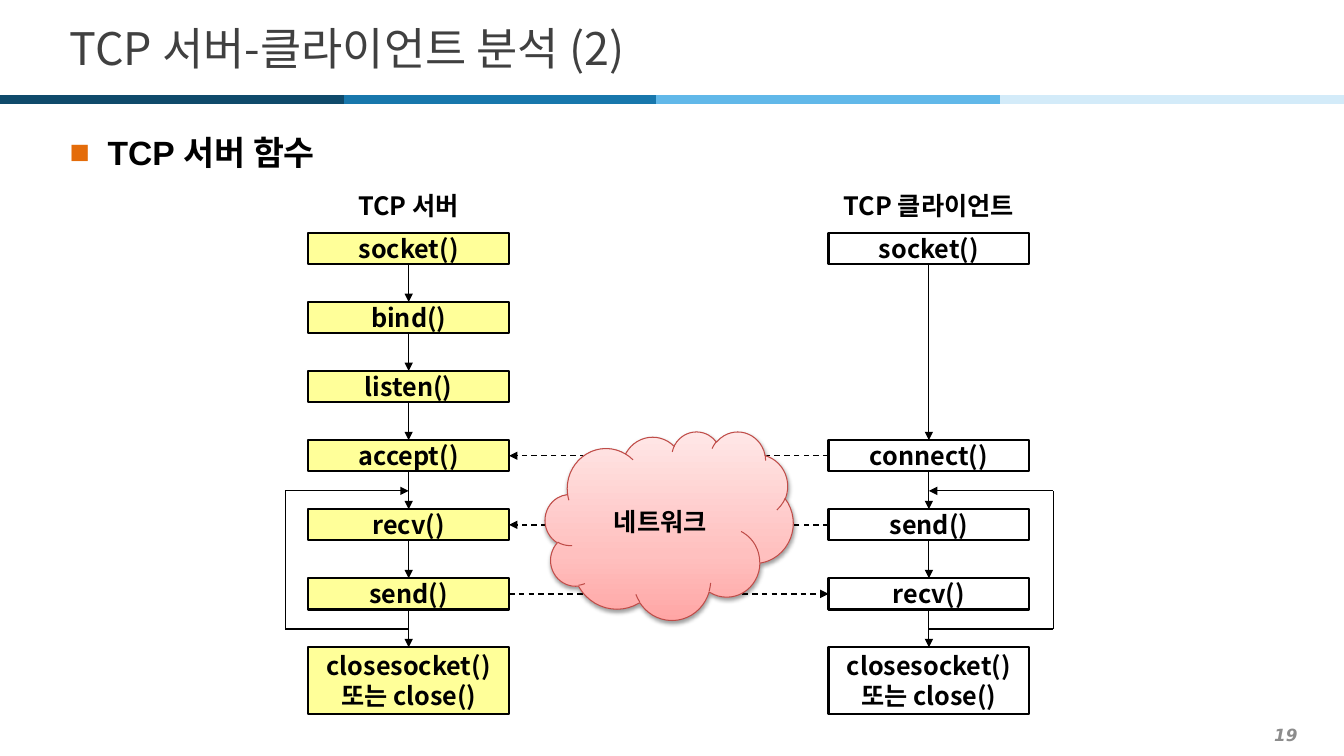
import copy

import lxml.etree
import pptx
import pptx.dml.color
import pptx.enum.dml
import pptx.enum.shapes
import pptx.enum.text
import pptx.oxml.ns
import pptx.util

Cm, Pt, qn = pptx.util.Cm, pptx.util.Pt, pptx.oxml.ns.qn
MSO_SHAPE = pptx.enum.shapes.MSO_SHAPE
ALIGN, ANCHOR = pptx.enum.text.PP_ALIGN, pptx.enum.text.MSO_ANCHOR
SubElement = lxml.etree.SubElement
KOREAN = "Noto Sans CJK KR"


def color(value):
    return pptx.dml.color.RGBColor.from_string(value)


def write(sp, text, size=18, font=KOREAN, rgb="000000", bold=True, italic=False,
          align=ALIGN.CENTER, anchor=ANCHOR.MIDDLE, wrap=False):
    tf = sp.text_frame
    tf.auto_size = pptx.enum.text.MSO_AUTO_SIZE.NONE
    tf.word_wrap = wrap
    tf.vertical_anchor = anchor
    for i, line in enumerate(text.split("\n")):
        p = tf.paragraphs[0] if i == 0 else tf.add_paragraph()
        p.alignment = align
        r = p.add_run()
        r.text = line
        r.font.size, r.font.name = Pt(size), font
        r.font.bold, r.font.italic = bold, italic
        r.font.color.rgb = color(rgb)
        SubElement(r.font._element, qn("a:ea"), typeface=KOREAN)


prs = pptx.Presentation()
prs.slide_width, prs.slide_height = Cm(33.87), Cm(19.05)
s = prs.slides.add_slide(prs.slide_layouts[1])

# Title
title = s.shapes.title
title.left, title.top, title.width, title.height = Cm(1.5), Cm(0.33), Cm(31), Cm(1.73)
write(title, "TCP 서버-클라이언트 분석 (2)", size=32, rgb="404040", bold=False,
      align=ALIGN.LEFT, wrap=True)

# Bullet heading
body = s.placeholders[1]
body.left, body.top, body.width, body.height = Cm(1.5), Cm(3), Cm(31.14), Cm(15.3)
p = body.text_frame.paragraphs[0]
p.line_spacing, p.space_before, p.space_after = 1.2, Pt(0), Pt(2)
pPr = p._p.get_or_add_pPr()
pPr.set("marL", str(Cm(0.96)))
pPr.set("indent", str(-Cm(0.96)))
SubElement(SubElement(pPr, qn("a:buClr")), qn("a:srgbClr"), val="E46C0A")
SubElement(pPr, qn("a:buChar"), char="■")
write(body, "TCP 서버 함수", size=24, font="Arial", align=ALIGN.LEFT,
      anchor=ANCHOR.TOP, wrap=True)

# Page number
number = s.shapes.add_textbox(Cm(0.5), Cm(18.13), Cm(32.45), Cm(0.79))
write(number, "19", size=12, font="DejaVu Sans", rgb="8C8C8C", italic=True,
      align=ALIGN.RIGHT, wrap=True)


def connect(x1, y1, x2, y2, rgb="000000", width=0.75, arrow=False, dash=False):
    c = s.shapes.add_connector(pptx.enum.shapes.MSO_CONNECTOR.STRAIGHT,
                               Cm(x1), Cm(y1), Cm(x2), Cm(y2))
    c.line.color.rgb, c.line.width = color(rgb), Pt(width)
    if dash:
        c.line.dash_style = pptx.enum.dml.MSO_LINE.DASH
    if arrow:
        SubElement(c.line._get_or_add_ln(), qn("a:tailEnd"), type="triangle")
    SubElement(c._element.spPr, qn("a:effectLst"))
    return c


# Header rule
edges = [0, 8.66, 16.54, 25.2, 33.87]
for x1, x2, rgb in zip(edges, edges[1:], ["0F4A6B", "1877AC", "61B8E9", "D3EBF9"]):
    connect(x1, 2.51, x2, 2.51, rgb=rgb, width=6)

# Server and client flows: heading, left edge, fill, loop edge, calls by row
TOP, PITCH, BOX_W, BOX_H = 5.87, 1.74, 5.06, 0.79
CLOSE = "closesocket()\n또는 close()"
flows = [
    ("TCP 서버", 7.77, "FFFF99", 7.19,
     {0: "socket()", 1: "bind()", 2: "listen()", 3: "accept()",
      4: "recv()", 5: "send()", 6: CLOSE}),
    ("TCP 클라이언트", 20.88, None, 26.54,
     {0: "socket()", 3: "connect()", 4: "send()", 5: "recv()", 6: CLOSE}),
]
columns = []
for heading, left, fill, loop_x, calls in flows:
    label = s.shapes.add_textbox(Cm(left), Cm(4.78), Cm(BOX_W), Cm(BOX_H))
    write(label, heading)

    boxes = {}
    for row, call in calls.items():
        sp = s.shapes.add_shape(MSO_SHAPE.RECTANGLE, Cm(left), Cm(TOP + PITCH * row),
                                Cm(BOX_W), Cm(1.68 if call == CLOSE else BOX_H))
        sp.shadow.inherit = False
        if fill:
            sp.fill.solid()
            sp.fill.fore_color.rgb = color(fill)
        else:
            sp.fill.background()
        sp.line.color.rgb, sp.line.width = color("000000"), Pt(1.5)
        write(sp, call)
        boxes[row] = sp
    columns.append(boxes)

    rows = list(boxes)
    for above, below in zip(rows, rows[1:]):
        c = connect(0, 0, 1, 1, arrow=True)
        c.begin_connect(boxes[above], 2)
        c.end_connect(boxes[below], 0)

    # Loop from below the sixth call back to above the fifth
    center = left + BOX_W / 2
    loop_top, loop_bottom = 12.37, 15.85
    connect(center, loop_bottom, loop_x, loop_bottom)
    connect(loop_x, loop_bottom, loop_x, loop_top)
    connect(loop_x, loop_top, center, loop_top, arrow=True)

# Messages across the network
server, client = columns
for start, start_side, end, end_side in [(client[3], 1, server[3], 3),
                                         (client[4], 1, server[4], 3),
                                         (server[5], 3, client[5], 1)]:
    c = connect(0, 0, 1, 1, width=1, arrow=True, dash=True)
    c.begin_connect(start, start_side)
    c.end_connect(end, end_side)

# Network cloud
cloud = s.shapes.add_shape(MSO_SHAPE.CLOUD, Cm(13.74), Cm(10.87), Cm(6.25), Cm(4.75))
cloud.fill.gradient()
cloud.fill.gradient_angle = 90
stops = cloud._element.spPr.find(".//" + qn("a:gsLst"))
stops.append(copy.deepcopy(stops[0]))
for stop, position, rgb in zip(cloud.fill.gradient_stops, [0, 0.35, 1],
                               ["FFA6A5", "FFC0BF", "FFE7E7"]):
    stop.position, stop.color.rgb = position, color(rgb)
cloud.line.color.rgb, cloud.line.width = color("BF4C48"), Pt(0.75)
cloud.shadow.inherit = False
shadow = SubElement(cloud._element.spPr.find(qn("a:effectLst")), qn("a:outerShdw"),
                    blurRad=str(Pt(3.1)), dist=str(Pt(1.6)), dir="5400000", rotWithShape="0")
SubElement(SubElement(shadow, qn("a:srgbClr"), val="000000"), qn("a:alpha"), val="38000")
write(cloud, "네트워크")

prs.save("out.pptx")
